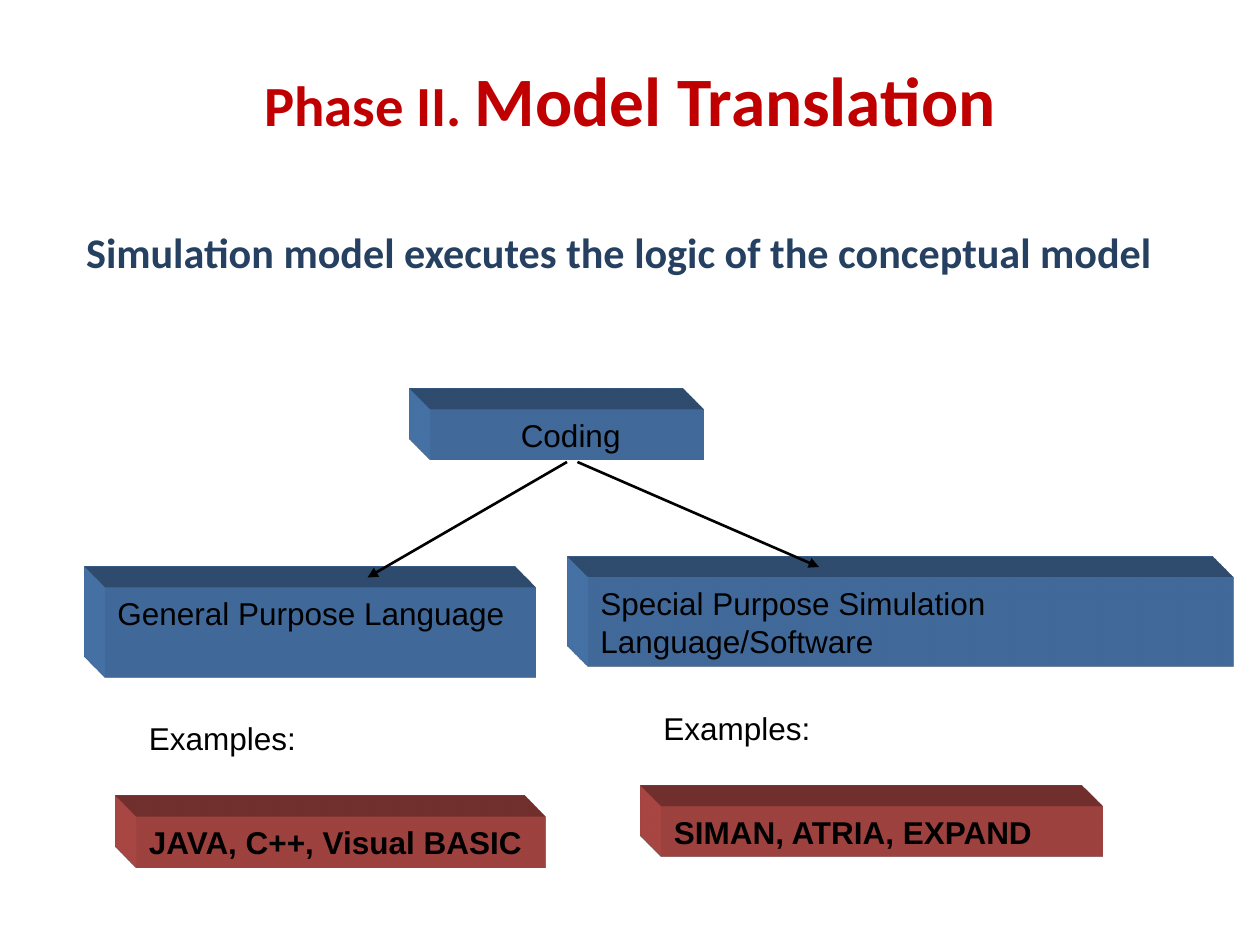
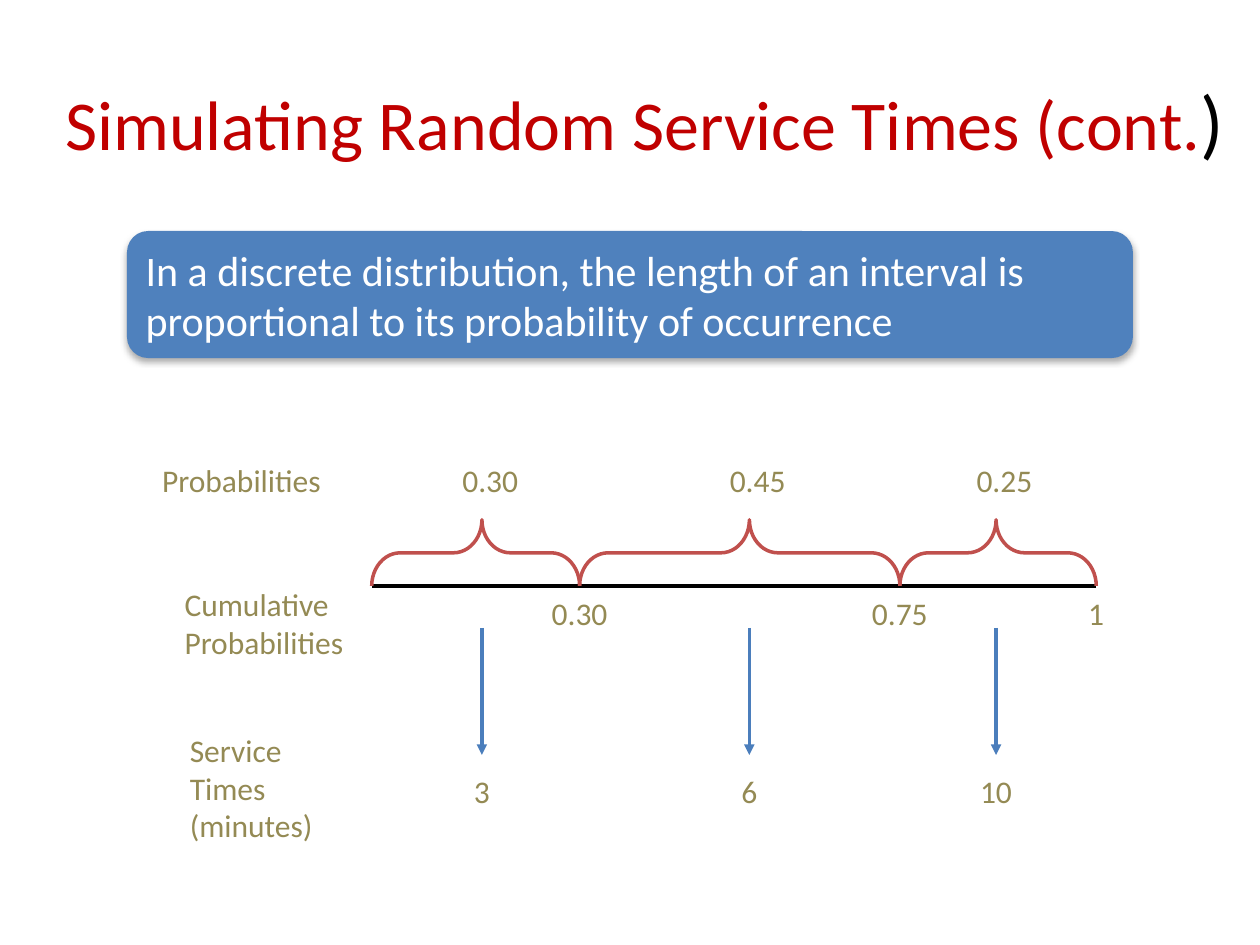
"""Two lecture slides on simulation: model translation and random service times."""
from collections import namedtuple

from lxml import etree
from pptx import Presentation
from pptx.dml.color import RGBColor
from pptx.enum.shapes import MSO_CONNECTOR, MSO_SHAPE
from pptx.enum.text import MSO_ANCHOR, MSO_AUTO_SIZE, PP_ALIGN
from pptx.oxml import parse_xml
from pptx.oxml.ns import nsdecls, qn
from pptx.util import Inches, Pt

LEFT, CENTER = PP_ALIGN.LEFT, PP_ALIGN.CENTER
TOP, MIDDLE = MSO_ANCHOR.TOP, MSO_ANCHOR.MIDDLE
RECTANGLE, ROUNDED = MSO_SHAPE.RECTANGLE, MSO_SHAPE.ROUNDED_RECTANGLE
BRACE, STRAIGHT = MSO_SHAPE.LEFT_BRACE, MSO_CONNECTOR.STRAIGHT
NO_FIT = MSO_AUTO_SIZE.NONE

COLORS = {"title": "C00000", "lead": "254061", "blue": "4F81BD", "red": "C0504D",
          "arrow": "4B7EBC", "olive": "948A54", "black": "000000", "white": "FFFFFF"}
HEAD, PLAIN = "Calibri", "Arial"

# The page is a grid of 120 columns and 90 rows, twelve cells to the inch.
CELL = Inches(1) / 12
COLUMNS, ROWS = 120, 90
Box = namedtuple("Box", "left top width height")
TITLE_TOP = 4.8
LINE_ROWS = 4.8

LABEL = {"size": 18, "name": HEAD, "color": "olive"}
NOTE = {"size": 18, "name": PLAIN, "color": "black"}


def cells(count):
    """Turn a number of grid cells into a length."""
    return round(count * CELL)


def inside(box, left, top, width, height):
    """Give the box that lies at an offset within another box."""
    return Box(box.left + left, box.top + top, width, height)


def color(name):
    """Look up a named colour."""
    return RGBColor.from_string(COLORS[name])


def write(shape, spans, align=LEFT, anchor=TOP):
    """Fill a shape with one paragraph of (text, format) spans."""
    frame = shape.text_frame
    for key, value in {"word_wrap": True, "auto_size": NO_FIT,
                       "vertical_anchor": anchor}.items():
        setattr(frame, key, value)
    para = frame.paragraphs[0]
    para.alignment = align
    for text, style in spans:
        span = para.add_run()
        span.text = text
        span.font.color.rgb = color(style["color"])
        for key in ("size", "name", "bold"):
            value = style.get(key)
            setattr(span.font, key, Pt(value) if key == "size" else value)
    return para


def fill_placeholder(shape, box, spans, **layout):
    """Move a template placeholder to a box and write in it."""
    for key, value in box._asdict().items():
        setattr(shape, key, cells(value))
    return write(shape, spans, **layout)


def add_shape(page, kind, box, fill=None):
    """Draw a preset shape without outline or shadow."""
    shape = page.shapes.add_shape(kind, *map(cells, box))
    shape.shadow.inherit = False
    shape.line.fill.background()
    if fill:
        shape.fill.solid()
        shape.fill.fore_color.rgb = color(fill)
    else:
        shape.fill.background()
    return shape


def add_label(page, box, text, style, **layout):
    """Place a text box with a single style."""
    shape = page.shapes.add_textbox(*map(cells, box))
    write(shape, [(text, style)], **layout)


def add_line(page, start, end, shade, points, arrow=False):
    """Draw a straight line, with an arrowhead at its end if asked."""
    line = page.shapes.add_connector(STRAIGHT, *map(cells, (*start, *end)))
    line.line.color.rgb = color(shade)
    line.line.width = Pt(points)
    outline = line.element.spPr
    if arrow:
        etree.SubElement(outline.find(qn("a:ln")), qn("a:tailEnd"), type="triangle")
    etree.SubElement(outline, qn("a:effectLst"))


def add_block(page, box, text, fill, anchor=TOP, bold=None):
    """Draw a labelled block, extruded to the upper left."""
    block = add_shape(page, RECTANGLE, box, fill)
    write(block, [(text, {**NOTE, "bold": bold})], anchor=anchor)
    scene = (f'<a:scene3d {nsdecls("a")}><a:camera prst="legacyObliqueTopLeft"/>'
             '<a:lightRig rig="legacyFlat3" dir="b"/></a:scene3d>')
    depth = (f'<a:sp3d {nsdecls("a")} extrusionH="430200" prstMaterial="legacyMatte">'
             '<a:bevelT w="13500" h="13500" prst="angle"/>'
             '<a:bevelB w="13500" h="13500" prst="angle"/>'
             f'<a:extrusionClr><a:srgbClr val="{COLORS[fill]}"/></a:extrusionClr>'
             '</a:sp3d>')
    for part in (scene, depth):
        block.element.spPr.append(parse_xml(part))
    return block


def add_branch(page, box, heading, examples, label_inset, block_inset, block_width):
    """Draw a language family with its examples below."""
    add_block(page, inside(box, 0, 0, box.width, 8.5), heading, "blue")
    add_label(page, inside(box, label_inset, 11.9, 17, LINE_ROWS),
              "Examples:", NOTE, anchor=MIDDLE)
    add_block(page, inside(box, block_inset, 21.8, block_width, LINE_ROWS),
              examples, "red", anchor=MIDDLE, bold=True)


def add_coding_tree(page, box):
    """Draw the coding block and the two branches it leads to."""
    root = add_block(page, inside(box, 31, 0, 26, LINE_ROWS), "Coding", "blue")
    root.text_frame.margin_left = cells(8.6)
    branches = [
        (inside(box, 0, 17, 41, 26), "General Purpose Language",
         "JAVA, C++, Visual BASIC", 3, 3, 39),
        (inside(box, 46, 16, 61.5, 26), "Special Purpose Simulation Language/Software",
         "SIMAN, ATRIA, EXPAND", 6, 7, 42)]
    for branch in branches:
        add_branch(page, *branch)
    for start, end in (((44, 5), (25, 16)), ((45, 5), (68, 15))):
        ends = [(box.left + column, box.top + row) for column, row in (start, end)]
        add_line(page, *ends, "black", 1.5, arrow=True)


def add_lead(page, box):
    """Write the lead sentence in the body placeholder, with no bullet."""
    style = {"size": 24.1, "name": HEAD, "color": "lead", "bold": True}
    para = fill_placeholder(
        page.placeholders[1], box,
        [("Simulation model executes the logic of the conceptual model", style)])
    settings = para._p.get_or_add_pPr()
    settings.set("marL", str(cells(4.5)))
    settings.set("indent", str(cells(-4.5)))
    etree.SubElement(settings, qn("a:buNone"))


def add_statement(page, box, text):
    """Draw the rounded statement with a soft shadow."""
    shape = add_shape(page, ROUNDED, box, "blue")
    write(shape, [(text, {"size": 24, "name": HEAD, "color": "white"})], anchor=MIDDLE)
    shape.element.spPr.find(qn("a:effectLst")).append(parse_xml(
        f'<a:outerShdw {nsdecls("a")} blurRad="{Pt(3.5)}" dist="{Pt(2.2)}" '
        'dir="5400000" rotWithShape="0"><a:srgbClr val="000000">'
        '<a:alpha val="32000"/></a:srgbClr></a:outerShdw>'))


def add_brace(page, box, tip_share):
    """Draw a brace pointing up, and return the column of its tip."""
    # The frame is turned a quarter, so width and height change places.
    shift = (box.width - box.height) / 2
    shape = add_shape(page, BRACE,
                      inside(box, shift, -shift, box.height, box.width))
    shape.rotation = 90
    shape.adjustments[0], shape.adjustments[1] = 0.43, tip_share
    shape.line.color.rgb = color("red")
    shape.line.width = Pt(2)
    return box.left + box.width * (1 - tip_share)


def add_interval_chart(page, box):
    """Draw the number line with its braces, arrows and values."""
    axis = box.top + 12.5

    def center(column, row, text):
        """Centre a value on a column."""
        add_label(page, Box(column - 4.2, row, 8.4, LINE_ROWS), text, LABEL, align=CENTER)

    captions = [("Probabilities", 0, 0, 18, CENTER),
                ("Cumulative Probabilities", 2.4, 11.8, 18.2, LEFT),
                ("Service Times (minutes)", 2.9, 25.7, 15.1, LEFT)]
    for text, left, top, width, align in captions:
        add_label(page, inside(box, left, top, width, 8.5), text, LABEL, align=align)

    edges = [box.left + offset for offset in (21.4, 41.2, 71.7, 90.4)]
    add_line(page, (edges[0], axis), (edges[-1], axis), "black", 2)
    intervals = [("0.30", "0.30", "3", 0.47), ("0.45", "0.75", "6", 0.47),
                 ("0.25", "1", "10", 0.51)]
    for start, end, values in zip(edges, edges[1:], intervals):
        chance, cumulative, minutes, tip_share = values
        tip = add_brace(page, Box(start, axis - 6.3, end - start, 6.3), tip_share)
        center(tip + 0.8, box.top, chance)
        center(end, axis + 0.2, cumulative)
        add_line(page, (tip, axis + 4), (tip, axis + 16.1), "arrow", 2, arrow=True)
        center(tip, axis + 17.1, minutes)


def build_translation(deck):
    """Build the slide on model translation."""
    page = deck.slides.add_slide(deck.slide_layouts[1])
    style = {"name": HEAD, "color": "title", "bold": True}
    fill_placeholder(page.shapes.title, Box(8.3, TITLE_TOP, 103.4, 9.2),
                     [("Phase II. ", {**style, "size": 32.4}),
                      ("Model Translation", {**style, "size": 39.6})],
                     align=CENTER, anchor=MIDDLE)
    add_lead(page, Box(7, 21, 107, 9))
    add_coding_tree(page, Box(10, 39, 107.5, 44))


def build_service_times(deck):
    """Build the slide on random service times."""
    page = deck.slides.add_slide(deck.slide_layouts[5])
    fill_placeholder(page.shapes.title, Box(5, TITLE_TOP, 113, 13.2),
                     [("Simulating Random Service Times (cont.",
                       {"size": 40, "name": HEAD, "color": "title"}),
                      (")", {"size": 44, "name": HEAD, "color": "black"})],
                     anchor=MIDDLE)
    add_statement(page, Box(12.1, 22, 95.8, 12.1),
                  "In a discrete distribution, the length of an interval is "
                  "proportional to its probability of occurrence")
    add_interval_chart(page, Box(14, 43.3, 94, 38))


deck = Presentation()
deck.slide_width, deck.slide_height = cells(COLUMNS), cells(ROWS)
build_translation(deck)
build_service_times(deck)
deck.save("out.pptx")
